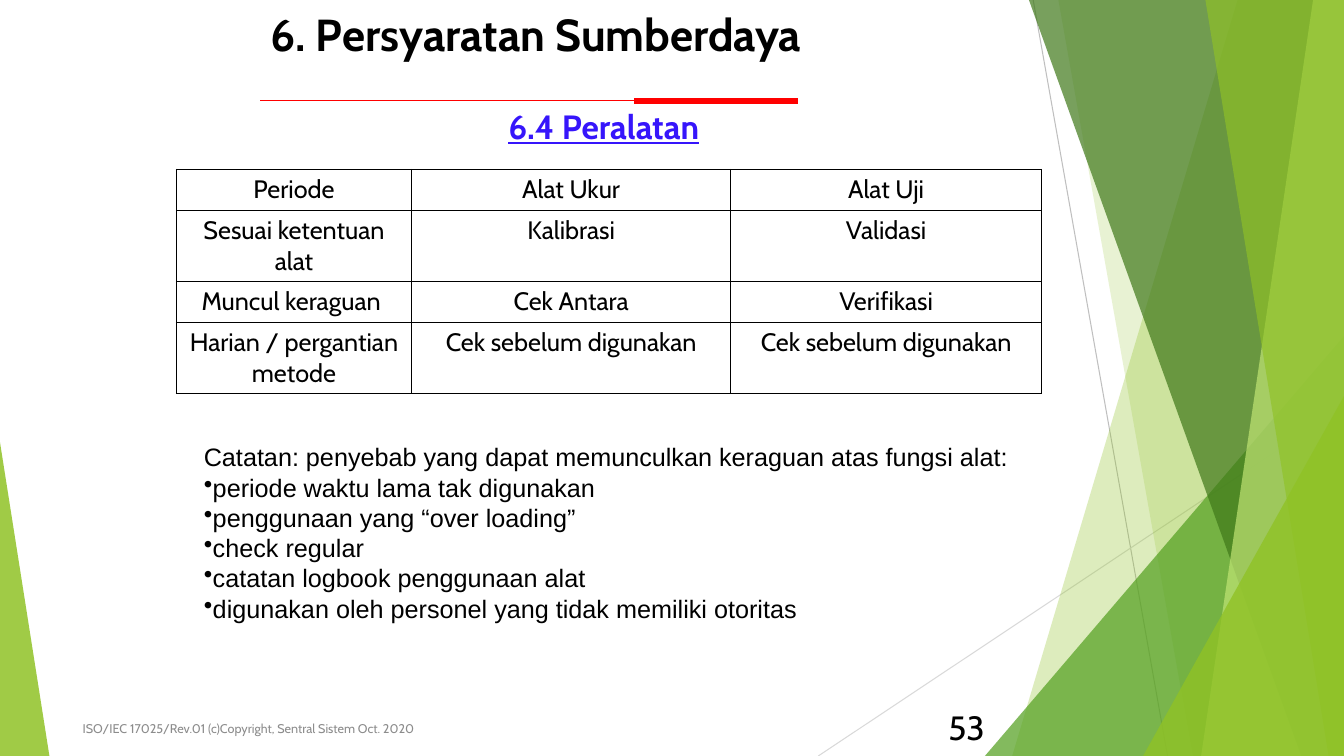
from dataclasses import dataclass
from lxml import etree
from pptx import Presentation
from pptx import util as u
from pptx.dml.color import RGBColor
from pptx.enum import shapes, text
from pptx.oxml import ns

Pt = u.Pt


@dataclass
class Theme:
    """Colours, fonts and type sizes of the slide."""
    lime: str = "90C226"
    leaf: str = "54A021"
    moss: str = "3F7819"
    pale: str = "C0E474"
    ink: str = "000000"
    blue: str = "3615FB"
    red: str = "FF0000"
    gray: str = "8C8C8C"
    rule: str = "BFBFBF"
    mist: str = "D9D9D9"
    face: str = "Cabin"
    plain: str = "Arial"
    title: int = 32
    head: int = 24
    body: int = 18
    foot: int = 9


class Page:
    """Draws elements on one slide in one style."""

    def __init__(self, slide, theme):
        self.slide, self.theme = slide, theme
        self.items = slide.shapes

    def paint(self, shape, color, alpha):
        """Fill a shape with a see-through colour and no outline."""
        shape.shadow.inherit = False
        shape.line.fill.background()
        shape.fill.solid()
        shape.fill.fore_color.rgb = RGBColor.from_string(color)
        tint = shape.fill._xPr.find(".//" + ns.qn("a:srgbClr"))
        etree.SubElement(tint, ns.qn("a:alpha"), val=str(alpha * 1000))

    def band(self, top, low, color, alpha):
        """Draw a full-height band reaching the right edge of the slide."""
        form = self.items.build_freeform(Pt(top), 0, scale=1.0)
        spots = [(960, 0), (960, 540), (low, 540)]
        form.add_line_segments([(Pt(x), Pt(y)) for x, y in spots])
        self.paint(form.convert_to_shape(), color, alpha)

    def peak(self, x, y, wide, tip, color, alpha):
        """Draw a triangle standing on the bottom edge of the slide."""
        kind = shapes.MSO_SHAPE.ISOSCELES_TRIANGLE
        shape = self.items.add_shape(kind, Pt(x), Pt(y), Pt(wide), Pt(540 - y))
        shape.adjustments[0] = tip
        self.paint(shape, color, alpha)

    def line(self, x1, y1, x2, y2, color, width):
        """Draw a straight line."""
        kind = shapes.MSO_CONNECTOR.STRAIGHT
        item = self.items.add_connector(kind, Pt(x1), Pt(y1), Pt(x2), Pt(y2))
        item.line.color.rgb = RGBColor.from_string(color)
        item.line.width = Pt(width)
        etree.SubElement(item._element.spPr, ns.qn("a:effectLst"))

    def style(self, para, size, color=None, face=None, bold=False, under=False):
        """Set the font of a paragraph."""
        font = para.font
        font.name, font.size = face or self.theme.face, Pt(size)
        font.bold, font.underline = bold, under
        font.color.rgb = RGBColor.from_string(color or self.theme.ink)

    def text(self, box, lines, size, align="LEFT", anchor="TOP", dots=False, **look):
        """Add a text box, with bullets after the first line if asked."""
        frame = self.items.add_textbox(*map(Pt, box)).text_frame
        frame.word_wrap = True
        frame.vertical_anchor = getattr(text.MSO_ANCHOR, anchor)
        frame.text = "\n".join(lines)
        for i, para in enumerate(frame.paragraphs):
            para.alignment = getattr(text.PP_ALIGN, align)
            if dots and i:
                props = para._p.get_or_add_pPr()
                etree.SubElement(props, ns.qn("a:buChar"), char="•")
            self.style(para, size, **look)

    def edge(self, cell):
        """Draw the four borders of a cell."""
        props = cell._tc.get_or_add_tcPr()
        for i, side in enumerate("LRTB"):
            line = etree.Element(ns.qn("a:ln" + side), w=str(Pt(1)))
            fill = etree.SubElement(line, ns.qn("a:solidFill"))
            etree.SubElement(fill, ns.qn("a:srgbClr"), val=self.theme.ink)
            props.insert(i, line)

    def table(self, x, y, cols, rows, data):
        """Add a ruled table of centred text."""
        frame = self.items.add_table(len(rows), len(cols), Pt(x), Pt(y),
                                     Pt(sum(cols)), Pt(sum(rows)))
        grid = frame.table
        grid.first_row = grid.horz_banding = False
        for col, wide in zip(grid.columns, cols):
            col.width = Pt(wide)
        for row, high, words in zip(grid.rows, rows, data):
            row.height = Pt(high)
            for cell, word in zip(row.cells, words):
                cell.text = word
                cell.fill.background()
                self.edge(cell)
                para = cell.text_frame.paragraphs[0]
                para.alignment = text.PP_ALIGN.CENTER
                self.style(para, self.theme.body)


def main():
    """Build the slide and save it."""
    deck = Presentation()
    deck.slide_width, deck.slide_height = Pt(960), Pt(540)
    look = Theme()
    page = Page(deck.slides.add_slide(deck.slide_layouts[6]), look)

    page.line(738, 0, 834, 540, look.rule, 0.75)
    page.line(960, 290, 584.5, 540, look.mist, 0.75)
    page.band(884, 723, look.lime, 30)
    page.band(756, 852, look.lime, 20)
    page.peak(703.5, 240, 256.5, 1, look.leaf, 72)
    page.band(735, 929.5, look.moss, 70)
    page.band(938, 858, look.pale, 70)
    page.band(861, 949, look.lime, 65)
    page.peak(816.5, 283, 143.5, 1, look.lime, 80)
    page.peak(0, 316, 35.3, 0, look.lime, 85)

    page.text((95, 72, 672.5, 48), ["6.4 Peralatan"], look.head, "CENTER",
              color=look.blue, bold=True, under=True)
    page.line(186, 72, 570, 72, look.red, 1)
    page.line(453, 72, 570, 72, look.red, 4.5)
    page.table(126, 121, (168, 228, 222), (29.3, 50.7, 29.3, 50.7), [
        ("Periode", "Alat Ukur", "Alat Uji"),
        ("Sesuai ketentuan alat", "Kalibrasi", "Validasi"),
        ("Muncul keraguan ", "Cek Antara", "Verifikasi"),
        ("Harian / pergantian metode", "Cek sebelum digunakan",
         "Cek sebelum digunakan"),
    ])
    page.text((138.5, 312, 594, 138), [
        "Catatan: penyebab yang dapat memunculkan keraguan atas fungsi alat:",
        "periode waktu lama tak digunakan",
        "penggunaan yang “over loading”",
        "check regular",
        "catatan logbook penggunaan alat",
        "digunakan oleh personel yang tidak memiliki otoritas",
    ], look.body, dots=True, face=look.plain)
    page.text((52, 506, 496, 29),
              ["ISO/IEC 17025/Rev.01 (c)Copyright, Sentral Sistem Oct. 2020"],
              look.foot, anchor="MIDDLE", color=look.gray)
    page.text((643, 505, 67.5, 29), ["53"], look.head, "RIGHT", "MIDDLE")
    page.text((186, 1.5, 677, 62.5), ["6. Persyaratan Sumberdaya"],
              look.title, bold=True)
    deck.save("out.pptx")


if __name__ == "__main__":
    main()
